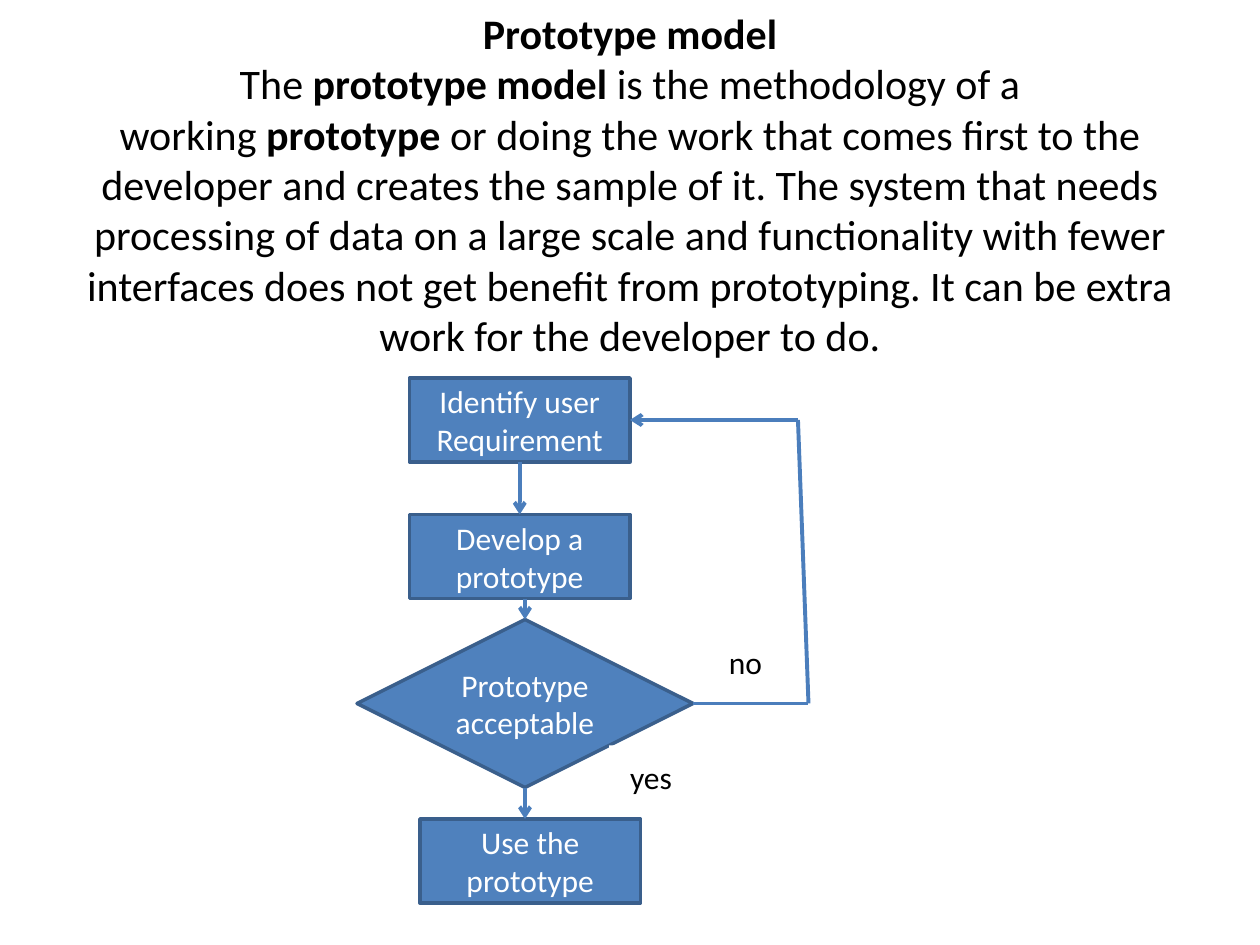
"""Build the prototype model slide: a definition above a flowchart."""
from lxml import etree
from pptx import Presentation
from pptx.dml.color import RGBColor
from pptx.enum import shapes, text
from pptx.oxml import ns
from pptx.util import Pt

COLORS = {"box": "4F81BD", "border": "3A5F8C", "arrow": "4B7EBC",
          "white": "FFFFFF", "black": "000000"}
FONT = "Calibri"
HARD_SPACE = chr(160)
HEADING = "Prototype model"
DEFINITION = [
    (f"The{HARD_SPACE}", False),
    (f"prototype{HARD_SPACE}model", True),
    (f"{HARD_SPACE}is the methodology of a working{HARD_SPACE}", False),
    ("prototype", True),
    (f"{HARD_SPACE}or doing the work that comes first to the developer and creates the "
     "sample of it. The system that needs processing of data on a large scale and "
     "functionality with fewer interfaces does not get benefit from prototyping. "
     "It can be extra work for the developer to do.", False),
]
RECTANGLE = shapes.MSO_SHAPE.RECTANGLE
DIAMOND = shapes.MSO_SHAPE.DIAMOND
STEPS = [
    ("Identify user Requirement", RECTANGLE, (234, 216, 126, 48)),
    ("Develop a prototype", RECTANGLE, (234, 294, 126, 48)),
    ("Prototype\nacceptable", DIAMOND, (204, 354, 192, 96)),
    ("Use the prototype", RECTANGLE, (240, 468, 126, 48)),
]
ANSWERS = [("no", (402, 360, 48, 36), "white"), ("yes", (348, 426, 48, 36), None)]
DOWN_ARROW_X = [297, 300, 300]
LOOP = [(396, 402), (462, 402), (456, 240), (360, 240)]


def color(name):
    return RGBColor.from_string(COLORS[name])


def style_run(run, size, color_name, bold=False):
    run.font.name = FONT
    run.font.size = Pt(size)
    run.font.bold = bold
    run.font.color.rgb = color(color_name)


def fill_title(title):
    title.left, title.top, title.width, title.height = Pt(36), Pt(0), Pt(648), Pt(210)
    frame = title.text_frame
    frame.word_wrap = True
    frame.auto_size = text.MSO_AUTO_SIZE.NONE
    frame.vertical_anchor = text.MSO_ANCHOR.MIDDLE
    paragraph = frame.paragraphs[0]
    paragraph.alignment = text.PP_ALIGN.CENTER
    paragraph.text = HEADING
    style_run(paragraph.runs[0], 24, "black", True)
    paragraph.add_line_break()
    for words, bold in DEFINITION:
        run = paragraph.add_run()
        run.text = words
        style_run(run, 24, "black", bold)


def add_box(slide, label, kind, box, fill, border, font_color):
    shape = slide.shapes.add_shape(kind, *map(Pt, box))
    shape.shadow.inherit = False
    shape.fill.solid()
    shape.fill.fore_color.rgb = color(fill)
    if border:
        shape.line.color.rgb = color(border)
        shape.line.width = Pt(2)
    else:
        shape.line.fill.background()
    frame = shape.text_frame
    frame.word_wrap = True
    frame.vertical_anchor = text.MSO_ANCHOR.MIDDLE
    frame.text = label
    for paragraph in frame.paragraphs:
        paragraph.alignment = text.PP_ALIGN.CENTER
        for run in paragraph.runs:
            style_run(run, 18, font_color)


def add_line(slide, start, end, arrow):
    connector = slide.shapes.add_connector(
        shapes.MSO_CONNECTOR.STRAIGHT, *map(Pt, (*start, *end)))
    connector.line.color.rgb = color("arrow")
    connector.line.width = Pt(2.25)
    properties = connector._element.spPr
    if arrow:
        etree.SubElement(properties.get_or_add_ln(), ns.qn("a:tailEnd"), type="arrow")
    etree.SubElement(properties, ns.qn("a:effectLst"))


def main():
    presentation = Presentation()
    presentation.slide_width, presentation.slide_height = Pt(720), Pt(540)
    slide = presentation.slides.add_slide(presentation.slide_layouts[5])
    fill_title(slide.shapes.title)
    for label, kind, box in STEPS:
        add_box(slide, label, kind, box, "box", "border", "white")
    boxes = [box for _, _, box in STEPS]
    for x, upper, lower in zip(DOWN_ARROW_X, boxes, boxes[1:]):
        add_line(slide, (x, upper[1] + upper[3]), (x, lower[1]), True)
    for start, end in zip(LOOP, LOOP[1:]):
        add_line(slide, start, end, end == LOOP[-1])
    for label, box, border in ANSWERS:
        add_box(slide, label, RECTANGLE, box, "white", border, "black")
    presentation.save("out.pptx")


if __name__ == "__main__":
    main()
